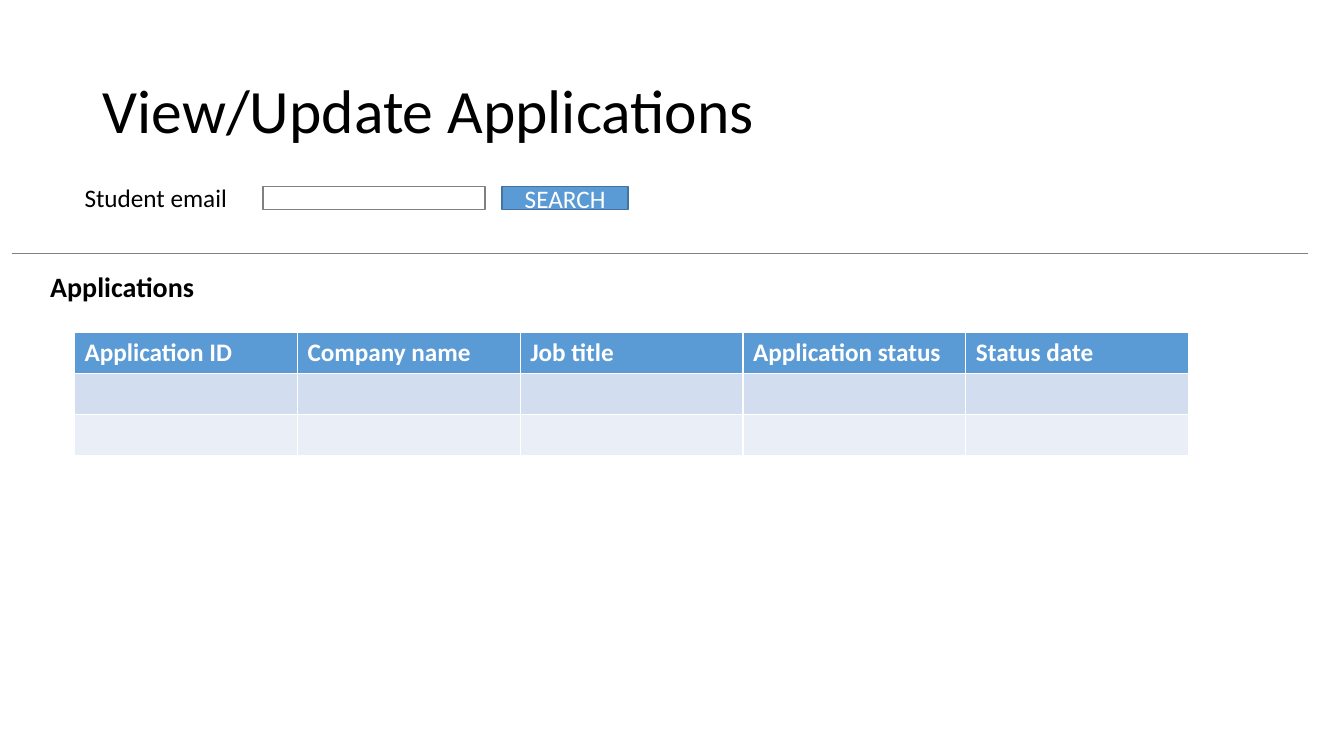
from pptx import Presentation
from pptx.dml.color import RGBColor
from pptx.enum.shapes import MSO_CONNECTOR, MSO_SHAPE
from pptx.enum.text import MSO_ANCHOR as Anchor, PP_ALIGN as Align
from pptx.oxml.ns import qn
from pptx.util import Inches, Pt
from lxml import etree


def color(value):
    return RGBColor.from_string(value)


class FormSlide:
    font = "Calibri"
    black, white, gray = "000000", "FFFFFF", "808080"
    blue, dark_blue = "5B9BD5", "43739E"
    bands = ("D2DEEF", "EAEFF7")

    def __init__(self, deck):
        self.slide = deck.slides.add_slide(deck.slide_layouts[6])

    def label(self, frame, text, size, ink, bold=False, align=Align.LEFT):
        frame.text = text
        para = frame.paragraphs[0]
        para.alignment = align
        for span in para.runs:
            span.font.name = self.font
            span.font.size = Pt(size)
            span.font.bold = bold
            span.font.color.rgb = color(ink)
        return para

    def text(self, place, text, size, bold=False, anchor=Anchor.TOP, wrap=True):
        box = self.slide.shapes.add_textbox(*map(Inches, place))
        box.text_frame.word_wrap = wrap
        box.text_frame.vertical_anchor = anchor
        return self.label(box.text_frame, text, size, self.black, bold)

    def rectangle(self, place, fill, line=None, text="", ink=black, align=Align.LEFT):
        box = self.slide.shapes.add_shape(MSO_SHAPE.RECTANGLE, *map(Inches, place))
        box.shadow.inherit = False
        box.fill.solid()
        box.fill.fore_color.rgb = color(fill)
        if line:
            box.line.color.rgb = color(line)
            box.line.width = Pt(1)
        else:
            box.line.fill.background()
        box.text_frame.vertical_anchor = Anchor.MIDDLE
        self.label(box.text_frame, text, 18, ink, align=align)

    def divider(self, left, right, top):
        ends = map(Inches, (left, top, right, top))
        line = self.slide.shapes.add_connector(MSO_CONNECTOR.STRAIGHT, *ends)
        line.line.color.rgb = color(self.gray)
        line.line.width = Pt(0.5)
        etree.SubElement(line._element.spPr, qn("a:effectLst"))

    def table(self, place, headings, rows):
        frame = self.slide.shapes.add_table(rows, len(headings), *map(Inches, place))
        for index, row in enumerate(frame.table.rows):
            fill = self.bands[(index - 1) % 2] if index else self.blue
            for cell, heading in zip(row.cells, headings):
                cell.fill.solid()
                cell.fill.fore_color.rgb = color(fill)
                if index == 0:
                    self.label(cell.text_frame, heading, 18, self.white, bold=True)


def main():
    deck = Presentation()
    deck.slide_width, deck.slide_height = Inches(13.33), Inches(7.5)
    page = FormSlide(deck)

    title = page.text((0.92, 0.4, 11.5, 1.45), "View/Update Applications", 44,
                      anchor=Anchor.MIDDLE)
    title.line_spacing = 0.9

    page.rectangle((0.74, 1.76, 1.87, 0.4), page.white, text="Student email")
    page.rectangle((2.61, 1.85, 2.2, 0.23), page.white, page.gray)
    page.rectangle((4.98, 1.85, 1.25, 0.23), page.blue, page.dark_blue,
                   "SEARCH", page.white, Align.CENTER)
    page.divider(0.12, 12.97, 2.51)

    page.text((0.4, 2.62, 1.64, 0.44), "Applications", 20, bold=True, wrap=False)
    headings = ("Application ID", "Company name", "Job title",
                "Application status", "Status date")
    page.table((0.74, 3.3, 11.05, 1.22), headings, rows=3)

    deck.save("out.pptx")


if __name__ == "__main__":
    main()
